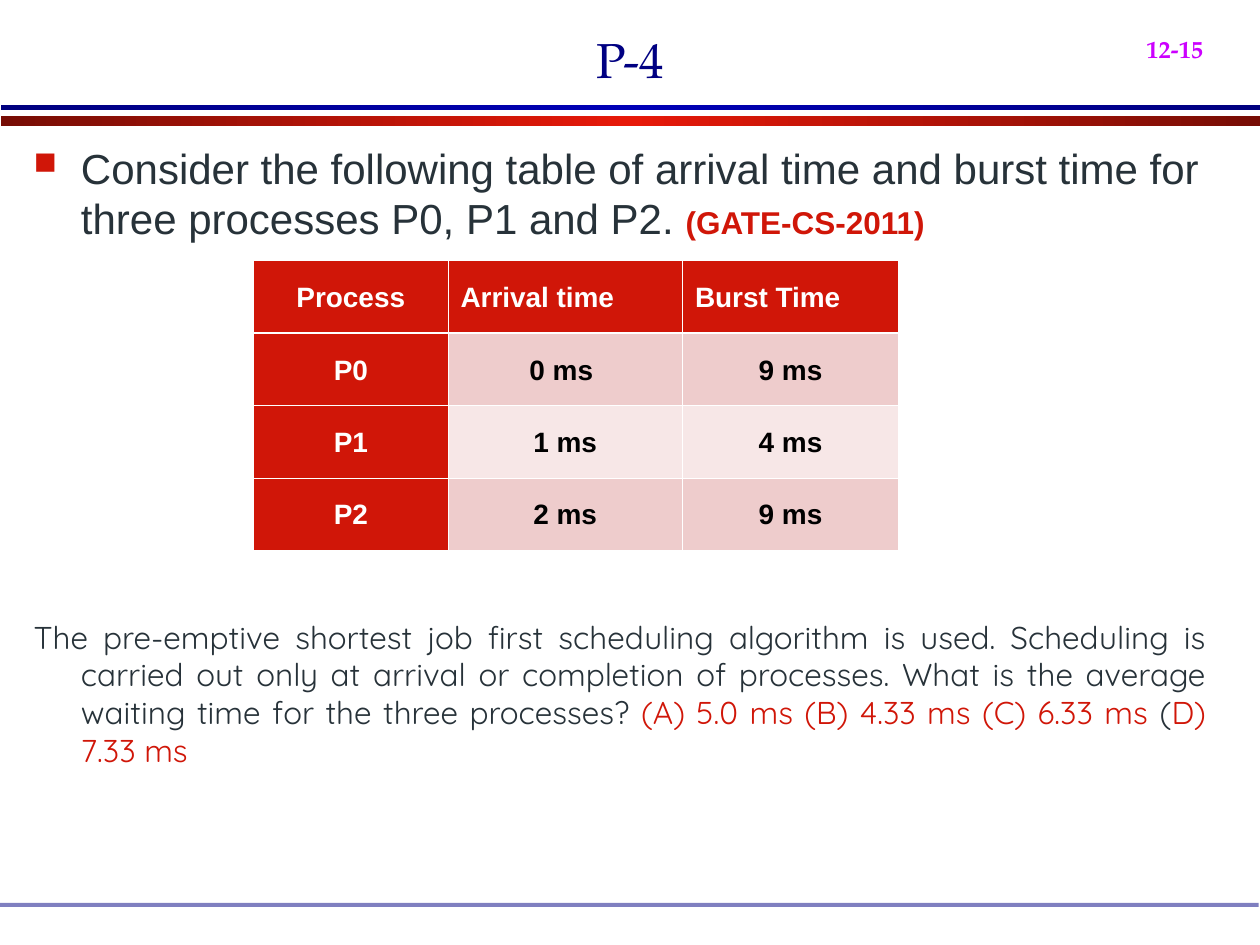
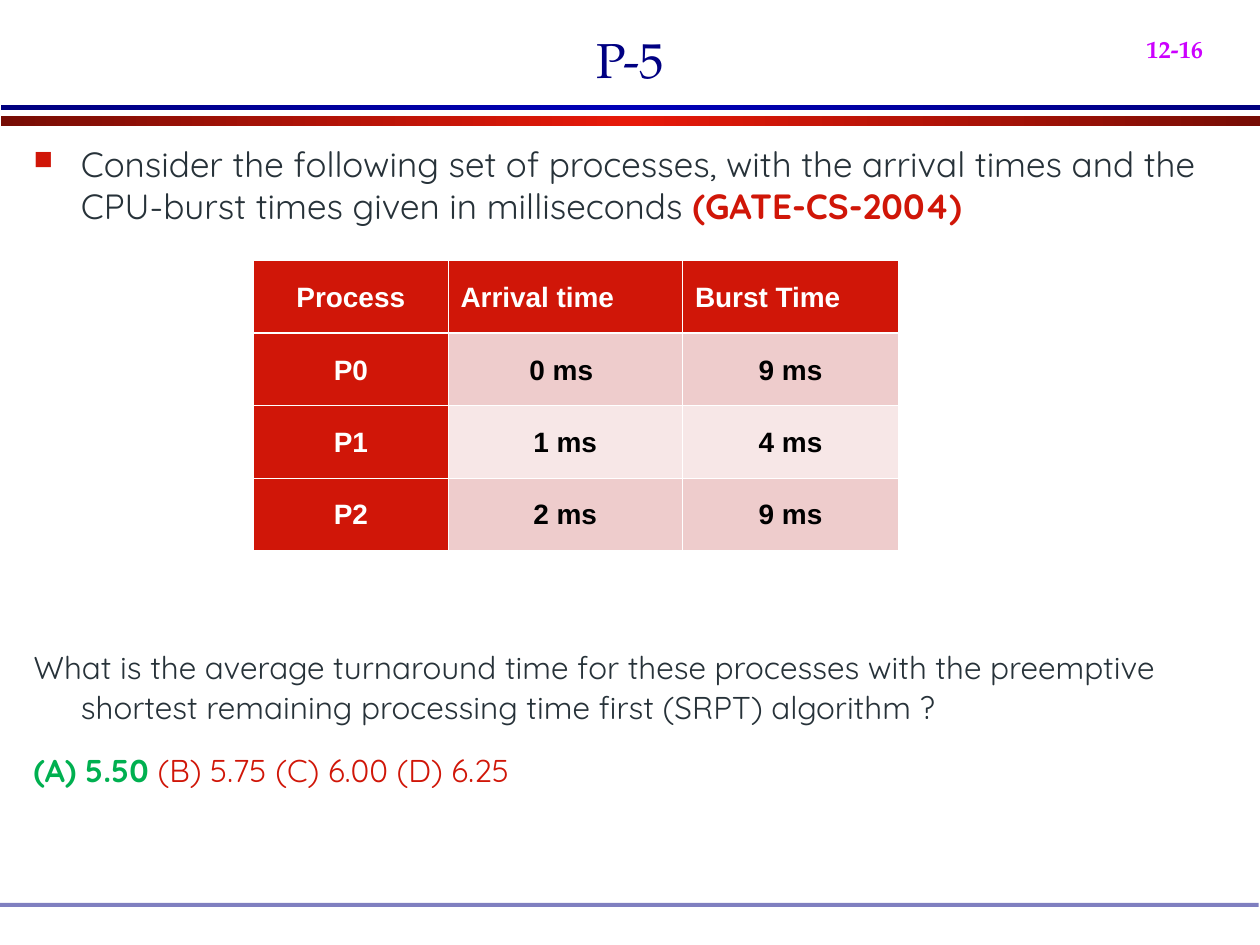
import pptx
import pptx.dml.color
import pptx.enum.shapes
import pptx.enum.text
import pptx.oxml
import pptx.oxml.ns
import pptx.util

Pt = pptx.util.Pt
ALIGN = pptx.enum.text.PP_ALIGN
ANCHOR = pptx.enum.text.MSO_ANCHOR
NAMESPACE = pptx.oxml.ns.nsdecls("a")

COLORS = {
    "red": "D01608",
    "red_dark": "770D05",
    "red_bright": "E71909",
    "blue_dark": "00007F",
    "blue_bright": "0000B6",
    "navy": "000082",
    "magenta": "CC00FF",
    "ink": "273239",
    "green": "00B050",
    "black": "000000",
    "white": "FFFFFF",
    "pink": "EECCCC",
    "pale": "F7E7E7",
}

SERIF = "TeX Gyre Pagella"
ROUND = "Quicksand"
SANS = "Arial"

NUMBER_FONT = {"name": SERIF, "size": Pt(24), "bold": True}
TITLE_FONT = {"name": SERIF, "size": Pt(28)}
CELL_FONT = {"name": SANS, "size": Pt(16), "bold": True}
QUESTION_FONT = {"name": ROUND, "size": Pt(18)}
ANSWER_FONT = {**QUESTION_FONT, "bold": True}
TASK_FONT = {"name": ROUND, "size": Pt(20)}

HANGING_INDENT = 27
LOOSE = {"line_spacing": 1.07, "space_after": Pt(8)}
COLUMN_WIDTHS = (111, 134, 123.5)
ROW_HEIGHT = 41.4
PROCESS_ROWS = (
    ("Process", "Arrival time", "Burst Time"),
    ("P0", "0 ms ", "9 ms"),
    ("P1", "1 ms", "4 ms"),
    ("P2", "2 ms", "9 ms"),
)


def set_attributes(target, values):
    for name, value in values.items():
        setattr(target, name, value)


def rgb(color):
    return pptx.dml.color.RGBColor.from_string(COLORS[color])


def add_band(slide, left, top, width, height):
    shape = slide.shapes.add_shape(
        pptx.enum.shapes.MSO_SHAPE.RECTANGLE,
        Pt(left), Pt(top), Pt(width), Pt(height))
    shape.shadow.inherit = False
    shape.line.fill.background()
    return shape


def add_gradient_band(slide, top, height, edge, middle):
    shape = add_band(slide, 0.7, top, 719.3, height)
    stops = "".join(
        f'<a:gs pos="{position}"><a:srgbClr val="{COLORS[color]}"/></a:gs>'
        for position, color in ((0, edge), (50000, middle), (100000, edge)))
    gradient = pptx.oxml.parse_xml(
        f'<a:gradFill {NAMESPACE} rotWithShape="1"><a:gsLst>{stops}</a:gsLst>'
        '<a:lin ang="0" scaled="0"/></a:gradFill>')
    shape.element.spPr.find(pptx.oxml.ns.qn("a:prstGeom")).addnext(gradient)


def add_footer_band(slide):
    shape = add_band(slide, 0, 516, 719.3, 2.2)
    shape.fill.solid()
    shape.fill.fore_color.rgb = rgb("navy")
    color = shape.element.spPr.find(".//" + pptx.oxml.ns.qn("a:srgbClr"))
    color.append(pptx.oxml.parse_xml(f'<a:alpha {NAMESPACE} val="50000"/>'))


def add_text_box(slide, left, top, width, height, anchor=ANCHOR.TOP):
    shape = slide.shapes.add_textbox(Pt(left), Pt(top), Pt(width), Pt(height))
    set_attributes(shape.text_frame, {"word_wrap": True, "vertical_anchor": anchor})
    return shape.text_frame


def write_paragraph(paragraph, runs, layout):
    set_attributes(paragraph, layout)
    for text, color, font in runs:
        run = paragraph.add_run()
        run.text = text
        run.font.color.rgb = rgb(color)
        set_attributes(run.font, font)


def hang(paragraph, bullet):
    properties = paragraph._p.get_or_add_pPr()
    properties.set("marL", str(Pt(HANGING_INDENT)))
    properties.set("indent", str(-Pt(HANGING_INDENT)))
    if bullet:
        for markup in (
                f'<a:buClr {NAMESPACE}><a:srgbClr val="{COLORS["red"]}"/></a:buClr>',
                f'<a:buSzPct {NAMESPACE} val="75000"/>',
                f'<a:buChar {NAMESPACE} char="■"/>'):
            properties.append(pptx.oxml.parse_xml(markup))


def add_header(slide, title, number):
    add_gradient_band(slide, 66.2, 5.8, "red_dark", "red_bright")
    add_gradient_band(slide, 59.8, 3, "blue_dark", "blue_bright")
    number_frame = add_text_box(slide, 648, 0, 77.8, 40.3)
    paragraph = number_frame.paragraphs[0]
    write_paragraph(paragraph, [(number, "magenta", NUMBER_FONT)],
                    {"space_before": Pt(15)})
    paragraph.runs[0].font._element.set("baseline", "-25000")
    title_frame = add_text_box(slide, 54, 0, 612, 54, ANCHOR.BOTTOM)
    write_paragraph(title_frame.paragraphs[0], [(title, "navy", TITLE_FONT)],
                    {"alignment": ALIGN.CENTER})


def add_problem(slide, paragraphs):
    frame = add_text_box(slide, 12.2, 77.8, 684, 432)
    for index, (runs, layout) in enumerate(paragraphs):
        paragraph = frame.add_paragraph() if index else frame.paragraphs[0]
        write_paragraph(paragraph, runs, layout)
        hang(paragraph, bullet=index == 0)


def add_borders(cell, row):
    widths = {"lnL": 0.45, "lnR": 0.45,
              "lnT": 1.47 if row == 1 else 0.45,
              "lnB": 1.47 if row == 0 else 0.45}
    properties = cell._tc.get_or_add_tcPr()
    for side, width in widths.items():
        properties.append(pptx.oxml.parse_xml(
            f'<a:{side} {NAMESPACE} w="{Pt(width)}"><a:solidFill>'
            f'<a:srgbClr val="{COLORS["white"]}"/></a:solidFill></a:{side}>'))


def add_process_table(slide):
    table = slide.shapes.add_table(
        len(PROCESS_ROWS), len(COLUMN_WIDTHS), Pt(145), Pt(149),
        Pt(sum(COLUMN_WIDTHS)), Pt(ROW_HEIGHT * len(PROCESS_ROWS))).table
    set_attributes(table, {"first_row": False, "horz_banding": False})
    for column, width in zip(table.columns, COLUMN_WIDTHS):
        column.width = Pt(width)
    for row, texts in enumerate(PROCESS_ROWS):
        table.rows[row].height = Pt(ROW_HEIGHT)
        for column, text in enumerate(texts):
            cell = table.cell(row, column)
            heading = row == 0 or column == 0
            add_borders(cell, row)
            cell.vertical_anchor = ANCHOR.MIDDLE
            cell.fill.solid()
            cell.fill.fore_color.rgb = rgb(
                "red" if heading else "pink" if row % 2 else "pale")
            left_aligned = row == 0 and column > 0
            write_paragraph(
                cell.text_frame.paragraphs[0],
                [(text, "white" if heading else "black", CELL_FONT)],
                {**LOOSE, "alignment": ALIGN.LEFT if left_aligned else ALIGN.CENTER})


def add_problem_slide(presentation, title, number, paragraphs):
    slide = presentation.slides.add_slide(presentation.slide_layouts[6])
    add_header(slide, title, number)
    add_footer_band(slide)
    add_problem(slide, paragraphs)
    add_process_table(slide)


def main():
    presentation = pptx.Presentation()
    set_attributes(presentation, {"slide_width": Pt(720), "slide_height": Pt(540)})
    add_problem_slide(presentation, "P-4", "12-15", [
        ([("Consider the following table of arrival time and burst time for "
           "three processes P0, P1 and P2. ", "ink", {"name": SANS, "size": Pt(24)}),
          ("(GATE-CS-2011)", "red", {"name": SANS, "size": Pt(18), "bold": True})],
         {"space_before": Pt(4.5)}),
        ([("The pre-emptive shortest job first scheduling algorithm is used. "
           "Scheduling is carried out only at arrival or completion of processes. "
           "What is the average waiting time for the three processes? ",
           "ink", QUESTION_FONT),
          ("(A) 5.0 ms (B) 4.33 ms (C) 6.33 ms ", "red", QUESTION_FONT),
          ("(", "ink", QUESTION_FONT),
          ("D) 7.33 ms", "red", QUESTION_FONT)],
         {"space_before": Pt(214), "alignment": ALIGN.JUSTIFY}),
    ])
    add_problem_slide(presentation, "P-5", "12-16", [
        ([("Consider the following set of processes, with the arrival times and "
           "the CPU-burst times given in milliseconds ", "ink", TASK_FONT),
          ("(GATE-CS-2004)", "red", {**TASK_FONT, "bold": True})],
         {"space_before": Pt(5)}),
        ([("What is the average turnaround time for these processes with the "
           "preemptive shortest remaining processing time first (SRPT) algorithm ?",
           "ink", QUESTION_FONT)],
         {**LOOSE, "space_before": Pt(239.4)}),
        ([("(A) 5.50 ", "green", ANSWER_FONT),
          ("(B) 5.75 (C) 6.00 (D) 6.25", "red", QUESTION_FONT)],
         {**LOOSE, "space_before": Pt(4.5)}),
    ])
    presentation.save("out.pptx")


if __name__ == "__main__":
    main()
